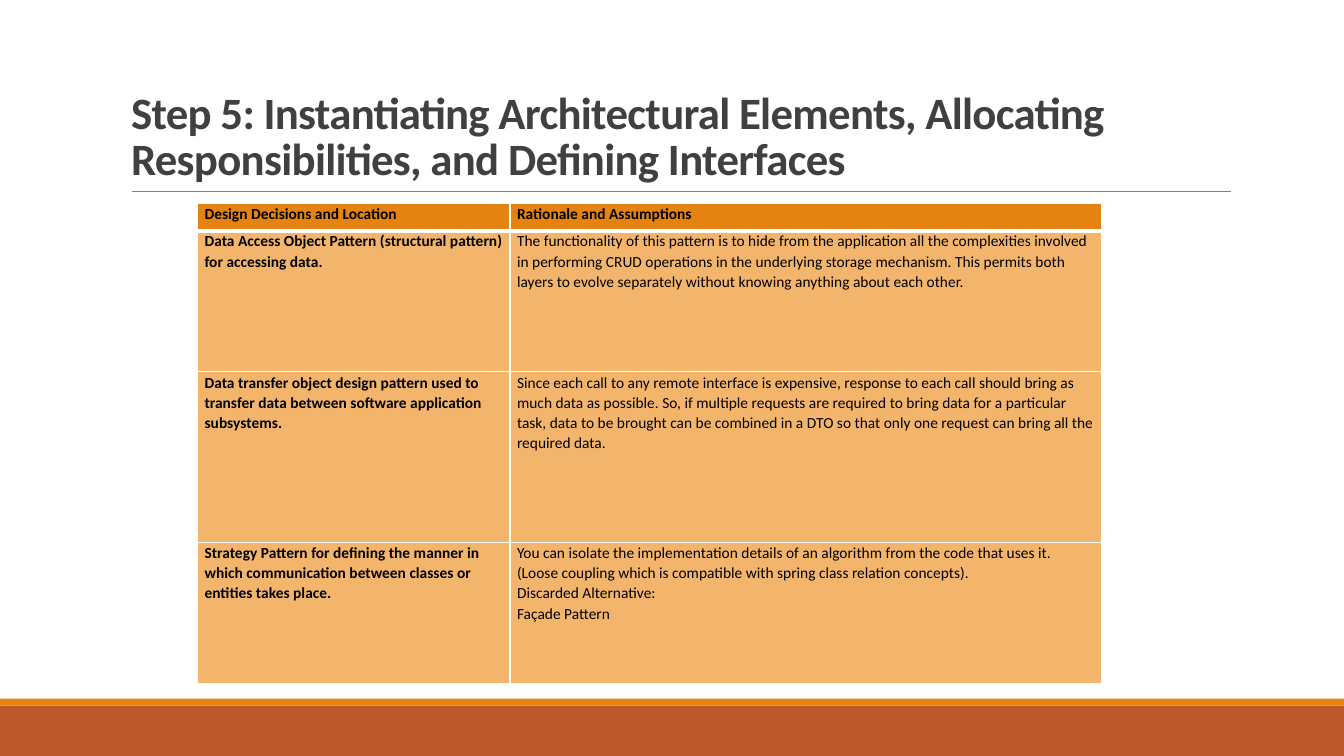
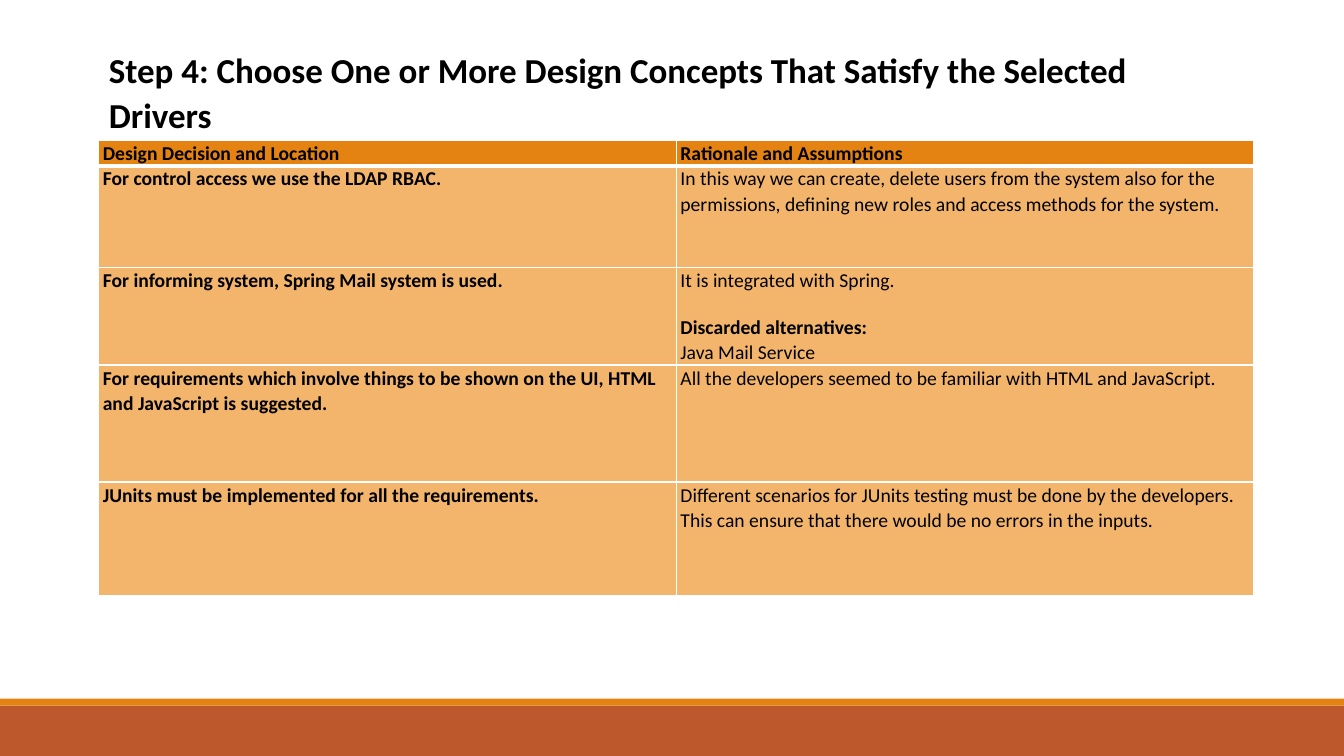
from lxml import etree
from pptx import Presentation, util as u
from pptx.dml.color import RGBColor
from pptx.enum import shapes, text
from pptx.oxml import ns

RUST = RGBColor(0xBD, 0x58, 0x2C)
ORANGE = RGBColor(0xE4, 0x83, 0x12)
PEACH = RGBColor(0xF3, 0xB5, 0x6C)
CHARCOAL = RGBColor(0x40, 0x40, 0x40)
GRAY = RGBColor(0x80, 0x80, 0x80)
BLACK = RGBColor(0, 0, 0)
WHITE = RGBColor(0xFF, 0xFF, 0xFF)
FONT = "Calibri"

deck = Presentation()
deck.slide_width, deck.slide_height = u.Inches(13.33), u.Inches(7.5)
COL, ROW = deck.slide_width / 100, deck.slide_height / 100

BANDS = [(93.33, 6.67, RUST), (92.4, 0.93, ORANGE)]

PAGES = [
    {
        "title": "Step 5: Instantiating Architectural Elements, Allocating "
                 "Responsibilities, and Defining Interfaces",
        "title_box": (9, 3.87, 82.5, 21.2),
        "anchor": text.MSO_ANCHOR.BOTTOM,
        "title_font": {"size": u.Pt(32), "color": CHARCOAL},
        "title_spacing": 0.85,
        "tracking": "-50",
        "rule": (9.82, 91.6, 25.33),
        "corner": (14.7, 26.93),
        "columns": (23.25, 44.03),
        "rows": (3.6, 18.67, 22.53, 18.67),
        "size": u.Pt(11),
        "inset": 0.07,
        "decisions": [
            ("Design Decisions and Location", ["Rationale and Assumptions"]),
            ("Data Access Object Pattern (structural pattern) for accessing data.",
             ["The functionality of this pattern is to hide from the application all the "
              "complexities involved in performing CRUD operations in the underlying storage "
              "mechanism. This permits both layers to evolve separately without knowing "
              "anything about each other."]),
            ("Data transfer object design pattern used to transfer data between software "
             "application subsystems.",
             ["Since each call to any remote interface is expensive, response to each call "
              "should bring as much data as possible. So, if multiple requests are required "
              "to bring data for a particular task, data to be brought can be combined in a "
              "DTO so that only one request can bring all the required data."]),
            ("Strategy Pattern for defining the manner in which communication between "
             "classes or entities takes place.",
             ["You can isolate the implementation details of an algorithm from the code that "
              "uses it. (Loose coupling which is compatible with spring class relation "
              "concepts).",
              "Discarded Alternative:",
              "Façade Pattern"]),
        ],
    },
    {
        "title": "Step 4: Choose One or More Design Concepts That Satisfy the Selected Drivers",
        "title_box": (7.35, 5.33, 84.6, 12.7),
        "anchor": text.MSO_ANCHOR.TOP,
        "title_font": {"size": u.Pt(25), "color": BLACK},
        "title_spacing": 1.07,
        "tracking": "0",
        "rule": None,
        "corner": (7.35, 18.53),
        "columns": (42.98, 42.98),
        "rows": (3.3, 13.47, 12.9, 15.47, 15.07),
        "size": u.Pt(14),
        "inset": 0.04,
        "decisions": [
            ("Design Decision and Location", ["Rationale and Assumptions"]),
            ("For control access we use the LDAP RBAC.",
             ["In this way we can create, delete users from the system also for the "
              "permissions, defining new roles and access methods for the system."]),
            ("For informing system, Spring Mail system is used.",
             ["It is integrated with Spring.", "Discarded alternatives:", "Java Mail Service"]),
            ("For requirements which involve things to be shown on the UI, HTML and "
             "JavaScript is suggested.",
             ["All the developers seemed to be familiar with HTML and JavaScript."]),
            ("JUnits must be implemented for all the requirements.",
             ["Different scenarios for JUnits testing must be done by the developers. This "
              "can ensure that there would be no errors in the inputs."]),
        ],
    },
]


def write(paragraph, words, spacing, font):
    paragraph.alignment = text.PP_ALIGN.LEFT
    paragraph.line_spacing = spacing
    run = paragraph.add_run()
    run.text = words
    for key, value in {"name": FONT, **font}.items():
        if key == "color":
            run.font.color.rgb = value
        else:
            setattr(run.font, key, value)
    return run


def border(cell, side, points):
    edge = etree.SubElement(cell._tc.get_or_add_tcPr(), ns.qn("a:ln" + side),
                            w=str(u.Pt(points)))
    paint = etree.SubElement(edge, ns.qn("a:solidFill"))
    etree.SubElement(paint, ns.qn("a:srgbClr"), val=str(WHITE))


for page in PAGES:
    slide = deck.slides.add_slide(deck.slide_layouts[5])

    for top, height, color in BANDS:
        band = slide.shapes.add_shape(shapes.MSO_SHAPE.RECTANGLE, 0, int(top * ROW),
                                      deck.slide_width, int(height * ROW))
        band.shadow.inherit = False
        band.fill.solid()
        band.fill.fore_color.rgb = color
        band.line.fill.background()

    if page["rule"]:
        start, end, level = page["rule"]
        rule = slide.shapes.add_connector(shapes.MSO_CONNECTOR.STRAIGHT, int(start * COL),
                                          int(level * ROW), int(end * COL), int(level * ROW))
        rule.line.color.rgb = GRAY
        rule.line.width = u.Pt(0.5)
        etree.SubElement(rule._element.spPr, ns.qn("a:effectLst"))

    heading = slide.shapes.title
    for side, share, unit in zip(("left", "top", "width", "height"), page["title_box"],
                                 (COL, ROW, COL, ROW)):
        setattr(heading, side, int(share * unit))
    frame = heading.text_frame
    for key, value in {"word_wrap": True, "auto_size": text.MSO_AUTO_SIZE.NONE,
                       "vertical_anchor": page["anchor"]}.items():
        setattr(frame, key, value)
    run = write(frame.paragraphs[0], page["title"], page["title_spacing"],
                {"bold": True, **page["title_font"]})
    run.font._element.set("spc", page["tracking"])

    left, top = page["corner"]
    grid = slide.shapes.add_table(len(page["rows"]), len(page["columns"]),
                                  int(left * COL), int(top * ROW),
                                  int(sum(page["columns"]) * COL),
                                  int(sum(page["rows"]) * ROW)).table
    grid.first_row = grid.horz_banding = False
    for column, share in zip(grid.columns, page["columns"]):
        column.width = int(share * COL)
    for row, share in zip(grid.rows, page["rows"]):
        row.height = int(share * ROW)

    for r, (decision, rationale) in enumerate(page["decisions"]):
        for c, lines in enumerate(([decision], rationale)):
            cell = grid.cell(r, c)
            for key, value in {"margin_left": u.Inches(page["inset"]),
                               "margin_right": u.Inches(page["inset"]),
                               "margin_top": 0, "margin_bottom": 0,
                               "vertical_anchor": text.MSO_ANCHOR.TOP}.items():
                setattr(cell, key, value)
            for side, points in {"L": 1, "R": 1, "T": 3 if r == 1 else 1,
                                 "B": 3 if r == 0 else 1}.items():
                border(cell, side, points)
            cell.fill.solid()
            cell.fill.fore_color.rgb = PEACH if r else ORANGE
            for n, line in enumerate(lines):
                paragraph = cell.text_frame.add_paragraph() if n else cell.text_frame.paragraphs[0]
                subhead = line == "Discarded alternatives:"
                if subhead:
                    paragraph.space_before = u.Pt(15)
                write(paragraph, line, 1.07, {"size": page["size"], "color": BLACK,
                                              "bold": r == 0 or c == 0 or subhead})

deck.save("out.pptx")
